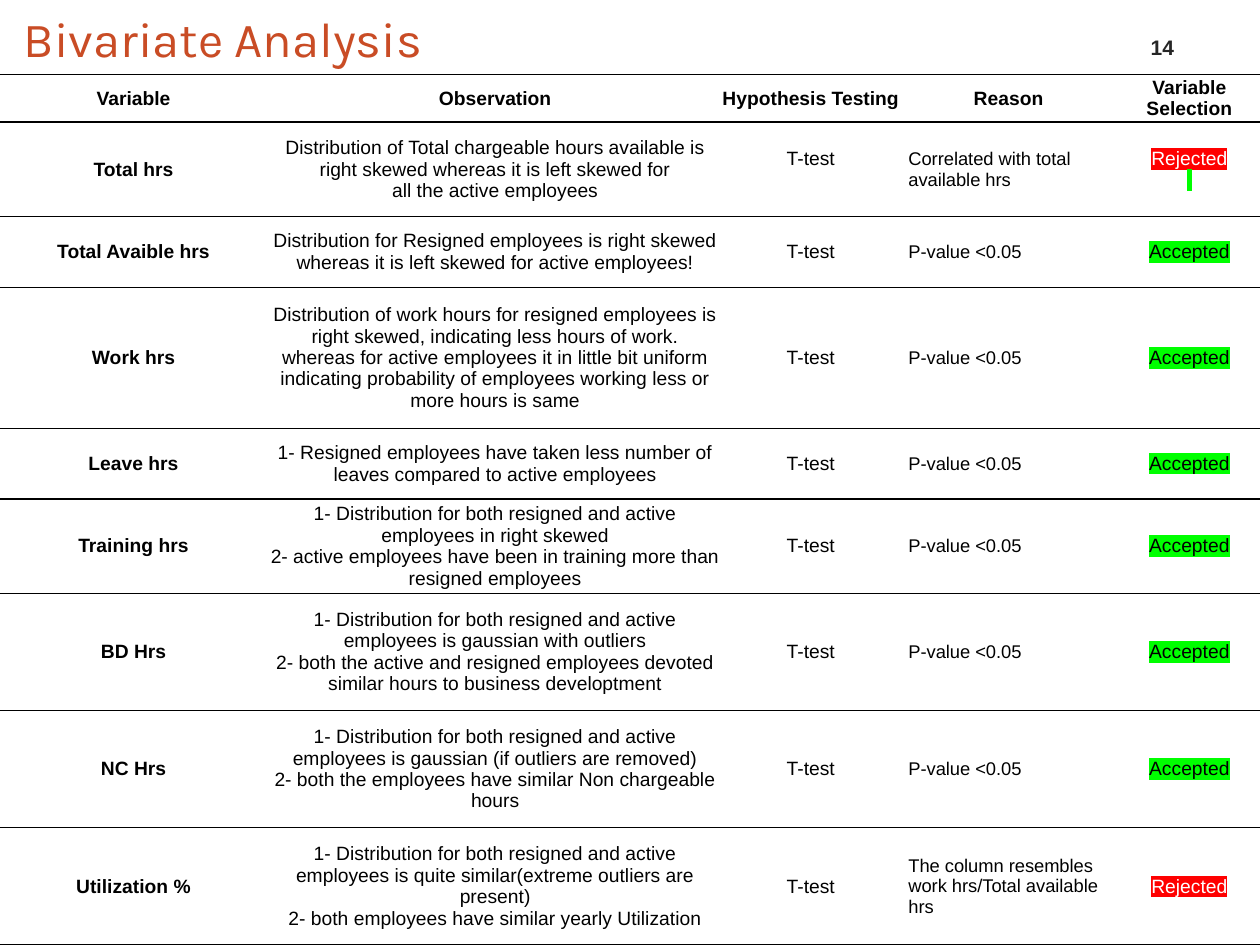
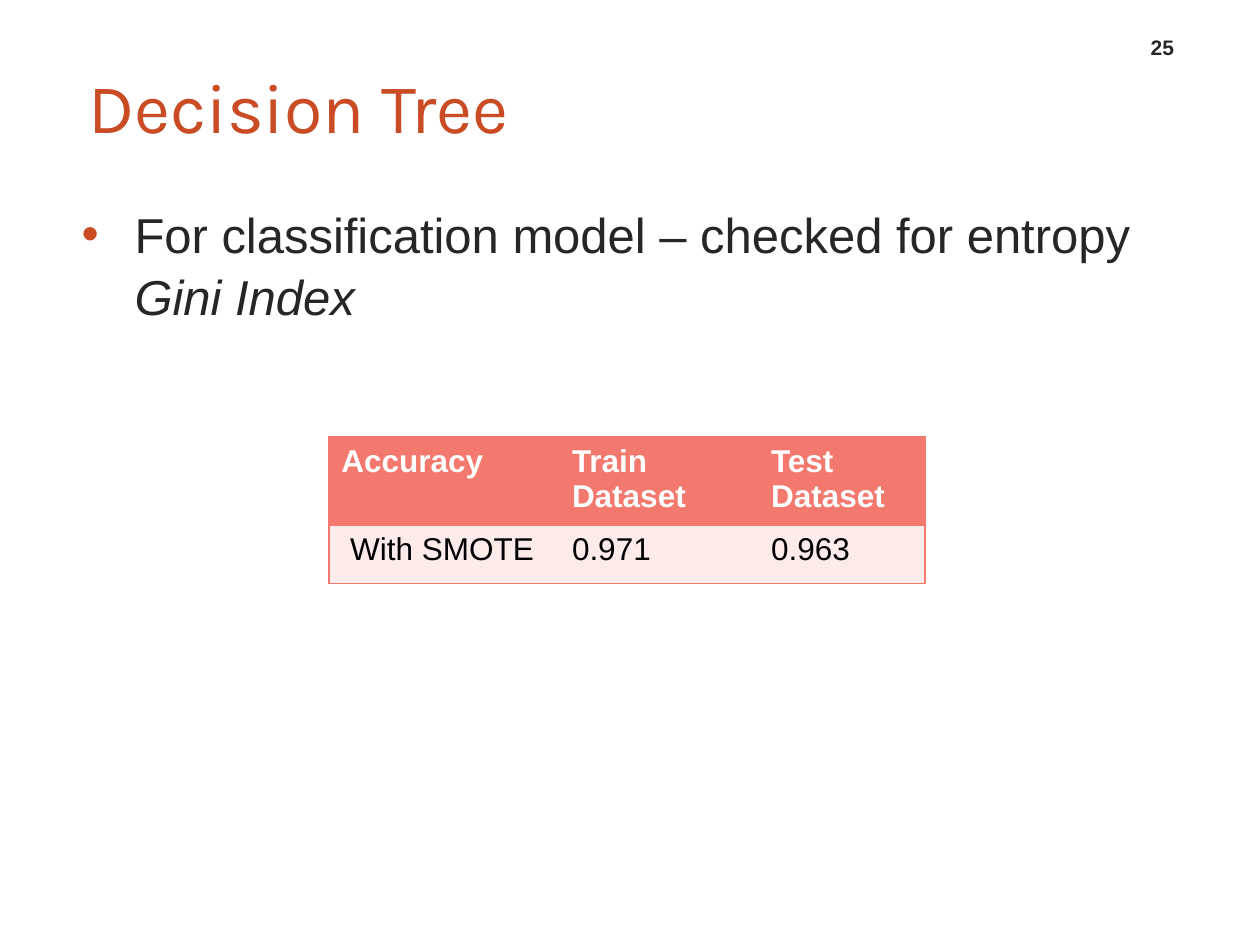
import lxml.etree
import pptx
import pptx.dml.color
import pptx.enum.text
import pptx.oxml.ns
import pptx.util

Inches, Pt = pptx.util.Inches, pptx.util.Pt
ALIGN, ANCHOR = pptx.enum.text.PP_ALIGN, pptx.enum.text.MSO_ANCHOR
qn = pptx.oxml.ns.qn

ORANGE, DARK, BLACK, WHITE = "C94C25", "262626", "000000", "FFFFFF"
RED, GREEN, CORAL, BLUSH = "FF0000", "00FF00", "F3786E", "FDEBEA"
SIDES = ("L", "R", "T", "B")

HEADINGS = ["Variable", "Observation", "Hypothesis Testing", "Reason", "Variable Selection"]
VARIABLES = [
    ("Total hrs", "Distribution of Total chargeable hours available is right skewed whereas it is "
     "left skewed for\nall the active employees",
     "T-test\n ", "Correlated with total available hrs", "Rejected\n "),
    ("Total Avaible hrs", "Distribution for Resigned employees is right skewed whereas it is "
     "left skewed for active employees!", "T-test", "P-value <0.05", "Accepted"),
    ("Work hrs", "Distribution of work hours for resigned employees is right skewed, indicating "
     "less hours of work.\nwhereas for active employees it in little bit uniform indicating "
     "probability of employees working less or more hours is same",
     "T-test", "P-value <0.05", "Accepted"),
    ("Leave hrs", "1- Resigned employees have taken less number of leaves compared to active "
     "employees", "T-test", "P-value <0.05", "Accepted"),
    ("Training hrs", "1- Distribution for both resigned and active employees in right skewed\n"
     "2- active employees have been in training more than resigned employees",
     "T-test", "P-value <0.05", "Accepted"),
    ("BD Hrs", "1- Distribution for both resigned and active employees is gaussian with outliers\n"
     "2- both the active and resigned employees devoted similar hours to business developtment",
     "T-test", "P-value <0.05", "Accepted"),
    ("NC Hrs", "1- Distribution for both resigned and active employees is gaussian (if outliers "
     "are removed)\n2- both the employees have similar Non chargeable hours",
     "T-test", "P-value <0.05", "Accepted"),
    ("Utilization %", "1- Distribution for both resigned and active employees is quite "
     "similar(extreme outliers are present)\n2- both employees have similar yearly Utilization",
     "T-test", "The column resembles work hrs/Total available hrs", "Rejected"),
]
ACCURACY = [("Accuracy", "Train Dataset", "Test Dataset"), (" With SMOTE", "0.971", "0.963")]


def rgb(color):
    """Turn a hex string into a colour."""
    return pptx.dml.color.RGBColor.from_string(color)


def style(p, size, color, bold=False, font="Arial"):
    """Format every run of a paragraph."""
    for r in p.runs:
        r.font.size, r.font.name, r.font.bold = Pt(size), font, bold
        r.font.color.rgb = rgb(color)


def indent(p, left, first=0):
    """Set the left margin and first-line indent of a paragraph."""
    pPr = p._p.get_or_add_pPr()
    pPr.set("marL", str(Inches(left)))
    pPr.set("indent", str(Inches(first)))
    return pPr


def highlight(r, color):
    """Put a marker colour behind a run."""
    mark = lxml.etree.Element(qn("a:highlight"))
    lxml.etree.SubElement(mark, qn("a:srgbClr"), val=color)
    r._r.get_or_add_rPr().find(qn("a:solidFill")).addnext(mark)


def add_text(s, box, text, anchor=ANCHOR.TOP, side=0.1):
    """Add a wrapped text box and return its first paragraph."""
    tf = s.shapes.add_textbox(*map(Inches, box)).text_frame
    tf.word_wrap, tf.vertical_anchor = True, anchor
    tf.margin_left = tf.margin_right = Inches(side)
    tf.text = text
    return tf.paragraphs[0]


def add_title(s, box, text, size):
    """Add the slide title."""
    p = add_text(s, box, text, ANCHOR.MIDDLE, 0)
    indent(p, 0.2)
    style(p, size, ORANGE, font="Karla")


def add_number(s, number):
    """Add the slide number at the top right."""
    p = add_text(s, (8.95, 0.19, 0.55, 0.33), number, ANCHOR.BOTTOM)
    p.alignment = ALIGN.CENTER
    style(p, 12, DARK, True)


def set_borders(cell, color, shown):
    """Draw the shown sides of a cell and hide the others."""
    tcPr = cell._tc.get_or_add_tcPr()
    for i, side in enumerate(SIDES):
        ln = lxml.etree.Element(qn(f"a:ln{side}"), w=str(Pt(1)))
        if side in shown:
            fill = lxml.etree.SubElement(ln, qn("a:solidFill"))
            lxml.etree.SubElement(fill, qn("a:srgbClr"), val=color)
        else:
            lxml.etree.SubElement(ln, qn("a:noFill"))
        tcPr.insert(i, ln)


def add_table(s, left, top, widths, heights, rows):
    """Add a filled-in table and return it."""
    frame = s.shapes.add_table(len(rows), len(widths), Inches(left), Inches(top),
                               Inches(sum(widths)), Inches(sum(heights)))
    table = frame.table
    for column, width in zip(table.columns, widths):
        column.width = Inches(width)
    for row, height, values in zip(table.rows, heights, rows):
        row.height = Inches(height)
        for cell, value in zip(row.cells, values):
            cell.text = value
    return table


def fill_cell(cell, color):
    """Give a cell a plain fill."""
    cell.fill.solid()
    cell.fill.fore_color.rgb = rgb(color)


def format_variable_cell(cell, row, heading):
    """Format one cell of the variable table according to its column."""
    cell.margin_left = cell.margin_right = cell.margin_top = cell.margin_bottom = 0
    cell.vertical_anchor = ANCHOR.MIDDLE
    fill_cell(cell, WHITE)
    set_borders(cell, BLACK, "TB")
    reason = row > 0 and heading == "Reason"
    verdict = row > 0 and heading == "Variable Selection"
    for p in cell.text_frame.paragraphs:
        rejected = verdict and p.text == "Rejected"
        style(p, 10.5 if reason else 11, WHITE if rejected else BLACK,
              row == 0 or heading == "Variable")
        if reason:
            indent(p, 0.07)
        else:
            p.alignment = ALIGN.CENTER
        if verdict:
            highlight(p.runs[0], RED if rejected else GREEN)


def bivariate_slide(prs):
    """Build the slide with the variable table."""
    s = prs.slides.add_slide(prs.slide_layouts[6])
    add_title(s, (-0.01, 0.08, 5.43, 0.44), "Bivariate Analysis", 28)
    table = add_table(s, -0.01, 0.59, [2.14, 3.6, 1.41, 1.73, 1.14],
                      [0.38, 0.75, 0.56, 1.12, 0.56, 0.75, 0.93, 0.93, 0.93],
                      [HEADINGS, *VARIABLES])
    for i, row in enumerate(table.rows):
        for cell, heading in zip(row.cells, HEADINGS):
            format_variable_cell(cell, i, heading)
    add_number(s, "14")


def add_bullet(s, box, text, emphasis):
    """Add the bulleted statement with its closing words in italics."""
    p = add_text(s, box, text)
    p.add_run().text = emphasis
    p.line_spacing = 1.05
    style(p, 28, DARK)
    p.runs[-1].font.italic = True
    pPr = indent(p, 0.49, -0.42)
    color = lxml.etree.SubElement(pPr, qn("a:buClr"))
    lxml.etree.SubElement(color, qn("a:srgbClr"), val=ORANGE)
    lxml.etree.SubElement(pPr, qn("a:buFont"), typeface="Arial")
    lxml.etree.SubElement(pPr, qn("a:buChar"), char="•")


def decision_tree_slide(prs):
    """Build the slide with the accuracy table."""
    s = prs.slides.add_slide(prs.slide_layouts[6])
    add_title(s, (0.5, 0.4, 5.33, 0.87), "Decision Tree", 40)
    add_number(s, "25")
    add_bullet(s, (0.48, 1.55, 9, 5), "For classification model – checked for entropy ",
               "Gini Index")
    table = add_table(s, 2.61, 3.47, [1.83, 1.58, 1.32], [0.67, 0.46], ACCURACY)
    for i, row in enumerate(table.rows):
        for j, cell in enumerate(row.cells):
            fill_cell(cell, BLUSH if i else CORAL)
            set_borders(cell, CORAL, "TB" + {0: "L", 2: "R"}.get(j, ""))
            style(cell.text_frame.paragraphs[0], 18, BLACK if i else WHITE, i == 0)


def main():
    """Build and save the presentation."""
    prs = pptx.Presentation()
    prs.slide_width, prs.slide_height = Inches(10), Inches(7.5)
    bivariate_slide(prs)
    decision_tree_slide(prs)
    prs.save("out.pptx")


if __name__ == "__main__":
    main()
